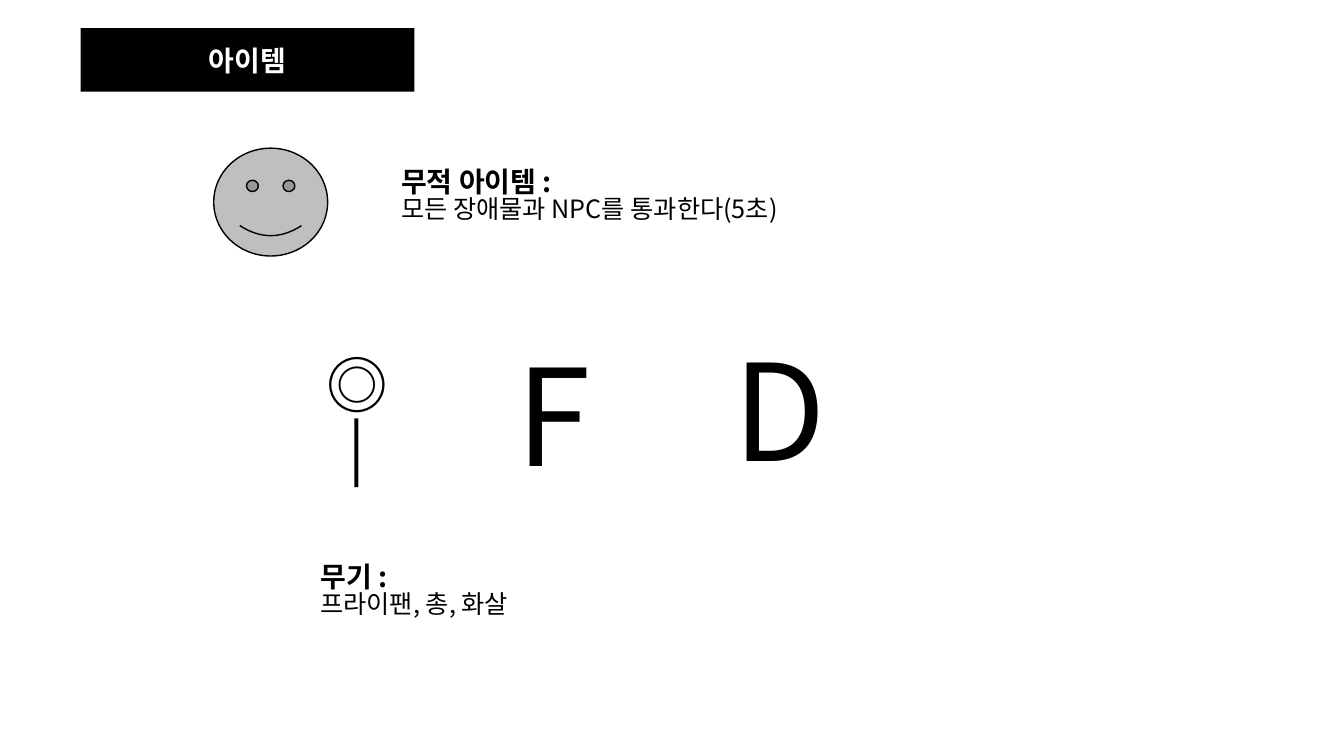
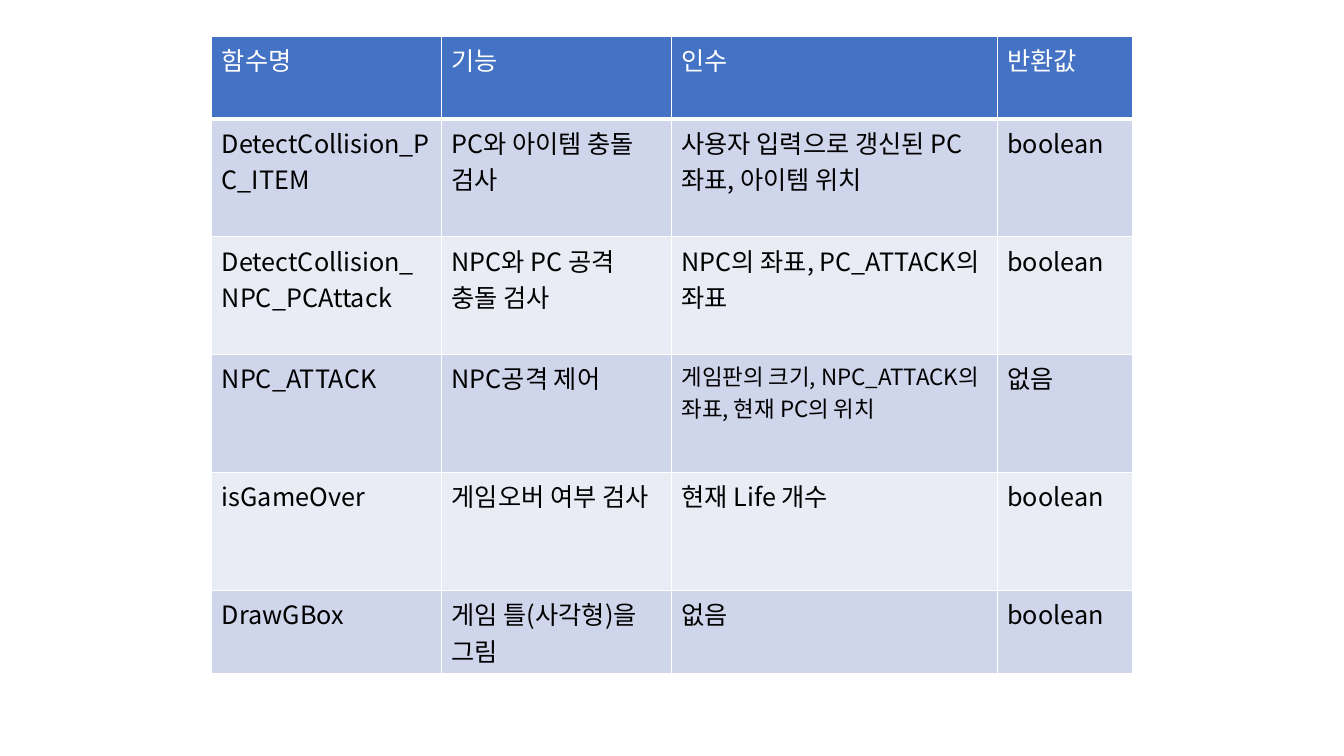
from lxml.etree import SubElement
from pptx import Presentation
from pptx.dml.color import RGBColor
from pptx.enum.shapes import MSO_SHAPE as Shape
from pptx.enum.text import MSO_ANCHOR as Anchor, PP_ALIGN as Align
from pptx.oxml.ns import qn
from pptx.util import Inches, Pt

FONT = "Noto Sans CJK KR"
BLACK, WHITE, GREY = "000000", "FFFFFF", "BFBFBF"
HEADER_BLUE, BAND_DARK, BAND_LIGHT = "4472C4", "CFD5EA", "E9EBF5"
TITLE_SIZE, BODY_SIZE, SMALL_SIZE = 20, 18, 16
TIGHT = 0.83  # line spacing of the notes

COLUMN_WIDTHS = [2.28, 2.28, 3.23, 1.34]
ROW_HEIGHTS = [0.82, 1.17, 1.17, 1.17, 1.17, 0.82]
FUNCTIONS = [
    ["함수명", "기능", "인수", "반환값"],
    ["DetectCollision_PC_ITEM", "PC와 아이템 충돌 검사",
     "사용자 입력으로 갱신된 PC 좌표, 아이템 위치", "boolean"],
    ["DetectCollision_NPC_PCAttack", "NPC와 PC 공격 충돌 검사",
     "NPC의 좌표, PC_ATTACK의 좌표", "boolean"],
    ["NPC_ATTACK", "NPC공격 제어",
     "게임판의 크기, NPC_ATTACK의 좌표, 현재 PC의 위치", "없음"],
    ["isGameOver", "게임오버 여부 검사", "현재 Life 개수", "boolean"],
    ["DrawGBox", "게임 틀(사각형)을 그림", "없음", "boolean"],
]
SMALL_CELL = (3, 2)


def rgb(value):
    return RGBColor.from_string(value)


def add_span(para, text, size, color=BLACK, bold=False):
    span = para.add_run()
    span.text = text
    font = span.font
    font.size, font.bold, font.name = Pt(size), bold, FONT
    font.color.rgb = rgb(color)
    SubElement(font._element, qn("a:ea"), typeface=FONT)


def add_text(page, left, top, width, height, lines,
             align=Align.LEFT, spacing=TIGHT, wrap=True):
    """Add a text box; each line is (text, size, bold)."""
    box = page.shapes.add_textbox(*map(Inches, (left, top, width, height)))
    frame = box.text_frame
    frame.word_wrap = wrap
    for index, (text, size, bold) in enumerate(lines):
        para = frame.add_paragraph() if index else frame.paragraphs[0]
        para.alignment, para.line_spacing = align, spacing
        add_span(para, text, size, bold=bold)


def add_note(page, left, top, width, title, body, wrap=True):
    lines = [(title, TITLE_SIZE, True), (body, BODY_SIZE, False)]
    add_text(page, left, top, width, 0.74, lines, wrap=wrap)


def add_filled_shape(page, kind, left, top, width, height, fill, line=None):
    shape = page.shapes.add_shape(kind, *map(Inches, (left, top, width, height)))
    shape.shadow.inherit = False
    shape.fill.solid()
    shape.fill.fore_color.rgb = rgb(fill)
    if line:
        shape.line.color.rgb = rgb(line)
        shape.line.width = Pt(1)
    else:
        shape.line.fill.background()
    return shape


def add_banner(page, text):
    banner = add_filled_shape(page, Shape.RECTANGLE, 0.8, 0.28, 3.31, 0.63, BLACK)
    banner.text_frame.vertical_anchor = Anchor.MIDDLE
    para = banner.text_frame.paragraphs[0]
    para.alignment = Align.CENTER
    add_span(para, text, TITLE_SIZE, WHITE, bold=True)


def set_borders(cell, bottom_width):
    """Draw white cell borders; they must precede the fill in the XML."""
    props = cell._tc.get_or_add_tcPr()
    for side, width in (("L", 1), ("R", 1), ("T", 1), ("B", bottom_width)):
        border = SubElement(props, qn(f"a:ln{side}"), w=str(Pt(width)))
        fill = SubElement(border, qn("a:solidFill"))
        SubElement(fill, qn("a:srgbClr"), val=WHITE)


def add_function_table(page, left, top):
    frame = page.shapes.add_table(
        len(ROW_HEIGHTS), len(COLUMN_WIDTHS), Inches(left), Inches(top),
        Inches(sum(COLUMN_WIDTHS)), Inches(sum(ROW_HEIGHTS)))
    table = frame.table
    for column, width in zip(table.columns, COLUMN_WIDTHS):
        column.width = Inches(width)
    for row, height in zip(table.rows, ROW_HEIGHTS):
        row.height = Inches(height)
    for r, texts in enumerate(FUNCTIONS):
        is_header = r == 0
        band = HEADER_BLUE if is_header else BAND_DARK if r % 2 else BAND_LIGHT
        for c, text in enumerate(texts):
            cell = table.cell(r, c)
            set_borders(cell, 3 if is_header else 1)
            cell.fill.solid()
            cell.fill.fore_color.rgb = rgb(band)
            size = SMALL_SIZE if (r, c) == SMALL_CELL else BODY_SIZE
            add_span(cell.text_frame.paragraphs[0], text, size,
                     WHITE if is_header else BLACK)


def build_items(page):
    add_banner(page, "아이템")
    add_filled_shape(page, Shape.SMILEY_FACE, 2.12, 1.47, 1.13, 1.07, GREY, BLACK)
    add_note(page, 3.08, 5.56, 2.2, "무기 :", "프라이팬, 총, 화살")
    add_note(page, 3.88, 1.64, 4.29, "무적 아이템 :",
             "모든 장애물과 NPC를 통과한다(5초)", wrap=False)
    add_text(page, 3.08, 3.52, 0.92, 1.58,
             [("◎", 44, False), ("|", 44, False)], Align.CENTER)
    for letter, left, top in (("F", 5.02, 3.45), ("D", 7.18, 3.4)):
        add_text(page, left, top, 1.13, 1.72, [(letter, 96, False)], spacing=0.88)


def main():
    deck = Presentation()
    deck.slide_width, deck.slide_height = Inches(13.33), Inches(7.5)
    blank = deck.slide_layouts[6]
    build_items(deck.slides.add_slide(blank))
    add_function_table(deck.slides.add_slide(blank), 2.1, 0.36)
    deck.save("out.pptx")


if __name__ == "__main__":
    main()
